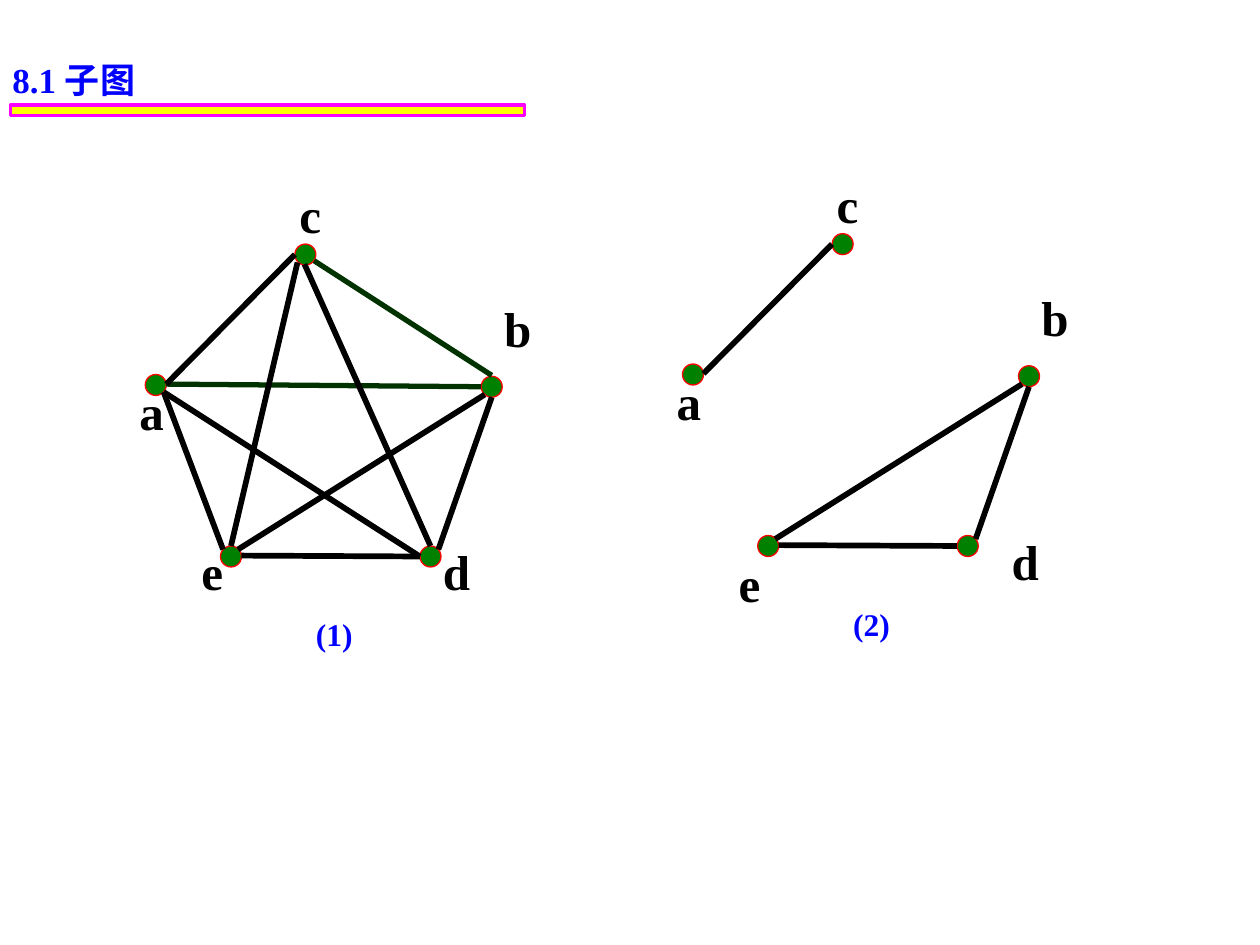
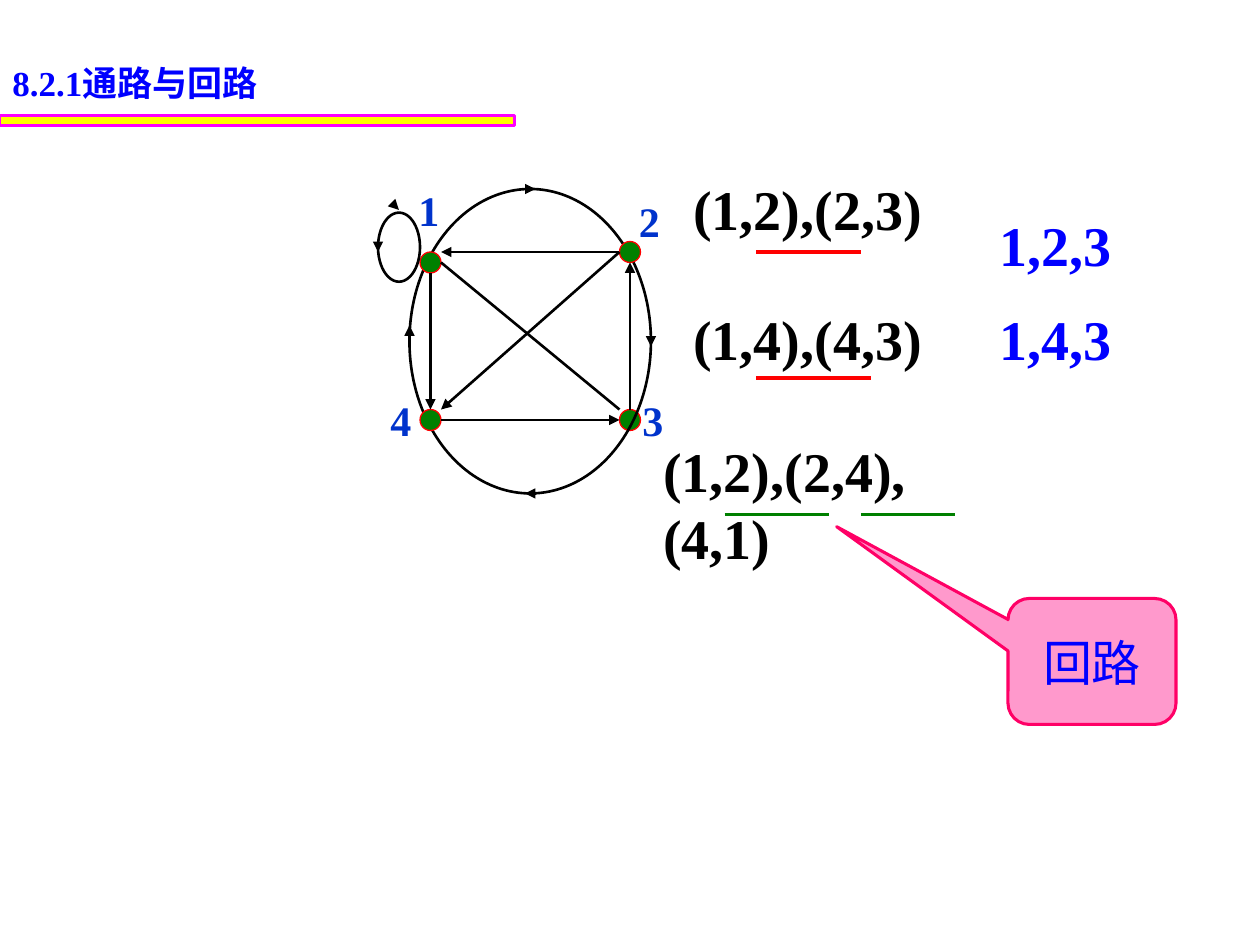
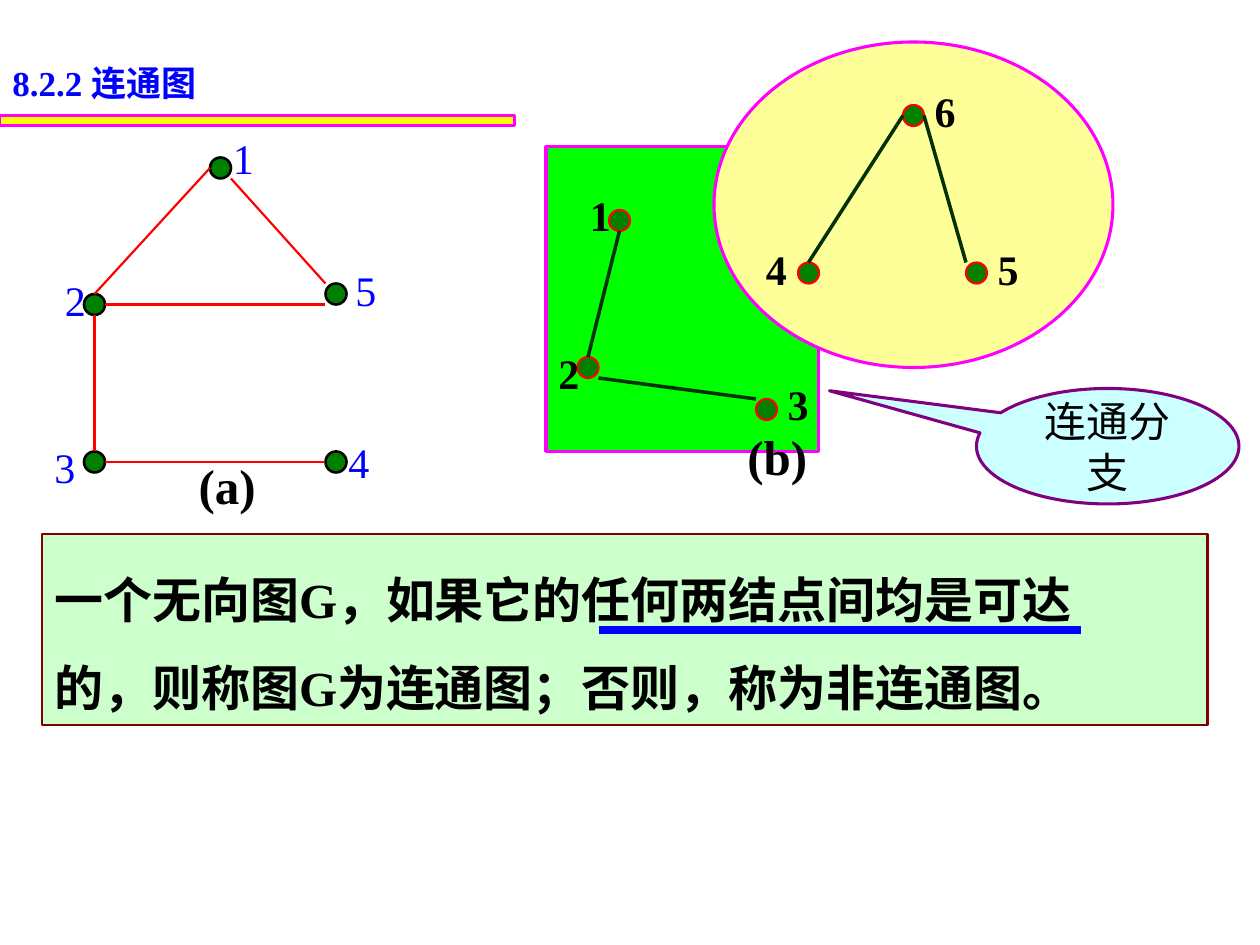
"""Build three slides on subgraphs, paths and connected graphs."""
from dataclasses import dataclass
from typing import NamedTuple

from lxml import etree
from pptx import Presentation
from pptx.dml.color import RGBColor
from pptx.enum.shapes import MSO_CONNECTOR, MSO_SHAPE
from pptx.enum.text import MSO_ANCHOR, MSO_AUTO_SIZE, PP_ALIGN
from pptx.oxml.ns import qn
from pptx.util import Pt

RECTANGLE = MSO_SHAPE.RECTANGLE
OVAL = MSO_SHAPE.OVAL
ROUND_CALLOUT = MSO_SHAPE.ROUNDED_RECTANGULAR_CALLOUT
OVAL_CALLOUT = MSO_SHAPE.OVAL_CALLOUT
STRAIGHT = MSO_CONNECTOR.STRAIGHT
GROW = MSO_AUTO_SIZE.SHAPE_TO_FIT_TEXT
TOP, MIDDLE = MSO_ANCHOR.TOP, MSO_ANCHOR.MIDDLE
LEFT, CENTER = PP_ALIGN.LEFT, PP_ALIGN.CENTER

SERIF, SANS, HAN = "Times New Roman", "Arial", "Noto Sans CJK SC"
DOT = 12
COLOURS = {
    "black": "000000", "blue": "0000FF", "royal": "0033CC", "red": "FF0000",
    "green": "008000", "forest": "003300", "lime": "00FF00",
    "yellow": "FFFF00", "cream": "FFFF99", "magenta": "FF00FF",
    "pink": "FF99CC", "rose": "FF0066", "mint": "CCFFCC",
    "maroon": "800000", "ice": "CCFFFF", "purple": "800080",
}


class Point(NamedTuple):
    x: float
    y: float


class Frame(NamedTuple):
    left: float
    top: float
    width: float
    height: float


class Span(NamedTuple):
    text: str
    font: str = SERIF


class Label(NamedTuple):
    text: str
    left: float
    top: float
    width: float = 26


class Edge(NamedTuple):
    start: Point
    end: Point
    colour: str = "black"
    width: float = 3.25
    arrow: bool = False


@dataclass(frozen=True)
class TextStyle:
    size: float
    colour: str = "black"
    bold: bool = True
    spacing: float = 1.0
    align: PP_ALIGN = LEFT


@dataclass(frozen=True)
class Look:
    fill: str | None
    line: str
    width: float


TITLE = TextStyle(20, "blue")
VERTEX = TextStyle(28)
CAPTION = TextStyle(18, "blue")
NUMBER = TextStyle(24)
PATH = TextStyle(32)
RED_DOT = Look("green", "red", 0.75)
OUTLINE = Look(None, "black", 1.5)

VERTICES = {"a": Point(83, 214), "b": Point(275, 215), "c": Point(168.5, 139.5),
            "d": Point(240, 312), "e": Point(126, 312)}
EDGES = {
    "ab": Edge(Point(95, 219.5), Point(275, 221), "forest", 3),
    "cb": Edge(Point(179.5, 149), Point(281, 214.5), "forest", 3),
    "ac": Edge(Point(95, 219.5), Point(168.5, 145.5)),
    "ae": Edge(Point(93.5, 224), Point(127.5, 314)),
    "ed": Edge(Point(138, 317.5), Point(240, 318)),
    "db": Edge(Point(250.5, 314), Point(281, 227)),
    "ce": Edge(Point(170, 150), Point(132, 312)),
    "cd": Edge(Point(174, 151), Point(246, 312)),
    "ad": Edge(Point(93.5, 224), Point(240, 318)),
    "eb": Edge(Point(136, 314), Point(277, 225.5)),
}
VERTEX_LABELS = (Label("a", 72.5, 214.5, 29), Label("b", 281, 167, 30),
                 Label("c", 164, 102, 27))


def colour_of(name: str) -> RGBColor:
    """Turn a palette name into a colour."""
    return RGBColor.from_string(COLOURS[name])


def write(box, paragraphs: list[tuple[Span, ...]], style: TextStyle) -> None:
    """Fill a box with styled paragraphs."""
    frame = box.text_frame
    for index, spans in enumerate(paragraphs):
        para = frame.paragraphs[0] if index == 0 else frame.add_paragraph()
        para.alignment = style.align
        para.line_spacing = style.spacing
        para.font.size = Pt(style.size)
        para.font.bold = style.bold
        para.font.color.rgb = colour_of(style.colour)
        fonts = {span.font for span in spans}
        if len(fonts) == 1:
            para.font.name = spans[0].font
        for text, font in spans:
            span = para.add_run()
            span.text = text
            if len(fonts) > 1:
                span.font.name = font
            if font != SERIF:
                properties = span._r.get_or_add_rPr()
                etree.SubElement(properties, qn("a:ea"), typeface=HAN)


def add_text(page, left: float, top: float, width: float,
             paragraphs: list[tuple[Span, ...]], style: TextStyle,
             wrap: bool = True) -> None:
    """Add a text box whose height follows its lines."""
    height = style.size * 1.2 * style.spacing * len(paragraphs) + 7.2
    box = page.shapes.add_textbox(Pt(left), Pt(top), Pt(width), Pt(height))
    box.text_frame.word_wrap = wrap
    box.text_frame.auto_size = GROW
    write(box, paragraphs, style)


def add_labels(page, labels: tuple[Label, ...], style: TextStyle,
               shift: Point = Point(0, 0)) -> None:
    """Add short labels that never wrap."""
    for label in labels:
        add_text(page, label.left + shift.x, label.top + shift.y, label.width,
                 [(Span(label.text),)], style, wrap=False)


def add_shape(page, kind: MSO_SHAPE, frame: Frame, look: Look):
    """Add a preset shape with its fill and outline."""
    shape = page.shapes.add_shape(kind, *map(Pt, frame))
    shape.shadow.inherit = False
    if look.fill:
        shape.fill.solid()
        shape.fill.fore_color.rgb = colour_of(look.fill)
    else:
        shape.fill.background()
    shape.line.color.rgb = colour_of(look.line)
    shape.line.width = Pt(look.width)
    return shape


def add_dots(page, corners: list[Point], look: Look,
             shift: Point = Point(0, 0)) -> None:
    """Add graph vertices by their top-left corners."""
    for corner in corners:
        frame = Frame(corner.x + shift.x, corner.y + shift.y, DOT, DOT)
        add_shape(page, OVAL, frame, look)


def add_edge(page, edge: Edge, shift: Point = Point(0, 0)) -> None:
    """Add a straight line, with an arrowhead if wanted."""
    line = page.shapes.add_connector(
        STRAIGHT, Pt(edge.start.x + shift.x), Pt(edge.start.y + shift.y),
        Pt(edge.end.x + shift.x), Pt(edge.end.y + shift.y))
    line.line.color.rgb = colour_of(edge.colour)
    line.line.width = Pt(edge.width)
    properties = line._element.spPr
    if edge.arrow:
        etree.SubElement(properties.find(qn("a:ln")), qn("a:tailEnd"), type="triangle")
    etree.SubElement(properties, qn("a:effectLst"))


def add_edges(page, ends: list[tuple[float, float, float, float]],
              colour: str, width: float, arrow: bool = False) -> None:
    """Add several lines of one style."""
    for x1, y1, x2, y2 in ends:
        add_edge(page, Edge(Point(x1, y1), Point(x2, y2), colour, width, arrow))


def add_callout(page, kind: MSO_SHAPE, frame: Frame, look: Look,
                adjustments: tuple[float, ...], text: str, style: TextStyle) -> None:
    """Add a callout with centred text."""
    callout = add_shape(page, kind, frame, look)
    for index, value in enumerate(adjustments):
        callout.adjustments[index] = value
    callout.text_frame.word_wrap = True
    callout.text_frame.vertical_anchor = MIDDLE
    write(callout, [(Span(text, SANS),)], style)


def add_heading(page, number: str, title: str, text_top: float = 31.5,
                bar: Point = Point(0, 66)) -> None:
    """Add the section title and its bar."""
    add_shape(page, RECTANGLE, Frame(bar.x, bar.y, 294, 6),
              Look("yellow", "magenta", 1.75))
    add_text(page, 0, text_top, 312, [(Span(number), Span(title, SANS))], TITLE)


def add_graph(page, edges: list[str], labels: tuple[Label, ...], caption: str,
              shift: Point = Point(0, 0)) -> None:
    """Draw the five vertices with chosen edges and labels."""
    add_dots(page, list(VERTICES.values()), RED_DOT, shift)
    for name in edges:
        add_edge(page, EDGES[name], shift)
    add_labels(page, VERTEX_LABELS + labels, VERTEX, shift)
    add_labels(page, (Label(caption, 173.5, 348, 35.5),), CAPTION, shift)


def build_subgraph(page) -> None:
    """Show the complete graph and one of its subgraphs."""
    add_heading(page, "8.1 ", "子图", 30, Point(6, 60))
    add_graph(page, list(EDGES),
              (Label("d", 246, 306, 30), Label("e", 108, 306, 27.5)), "(1)")
    add_graph(page, ["ac", "ed", "db", "eb"],
              (Label("d", 264, 306, 30), Label("e", 108, 318.5, 27.5)), "(2)",
              Point(307, -6))


def build_paths(page) -> None:
    """Show a directed graph with its paths and a circuit."""
    add_heading(page, "8.2.1", "通路与回路")
    add_dots(page, [Point(354, 234)], RED_DOT)
    add_shape(page, OVAL, Frame(234, 108, 138, 174), OUTLINE)
    add_labels(page, (Label("1", 232, 102), Label("2", 358, 108),
                      Label("3", 360, 222), Label("4", 216, 222)),
               TextStyle(24, "royal"))
    add_dots(page, [Point(354, 138), Point(240, 234), Point(240, 144)], RED_DOT)
    add_shape(page, OVAL, Frame(216, 121.5, 24, 39.5), OUTLINE)
    add_edges(page, [(252, 150, 354, 234)], "black", 1.5)
    add_edges(page, [
        (354, 144, 252, 234), (354, 144, 252, 144), (246, 156, 246, 234),
        (252, 240, 354, 240), (360, 234, 360, 150), (227.75, 119.75, 228, 120),
        (216, 138, 216, 144), (300, 108, 306, 108), (372, 192, 372, 198),
        (306, 282, 300, 282), (234, 198, 234, 186),
    ], "black", 1.5, arrow=True)
    for text, left, top, width in (("(1,2),(2,3)", 389, 96, 199.5),
                                   ("(1,4),(4,3)", 389, 170.5, 199.5),
                                   ("(1,2),(2,4),(4,1)", 372, 246, 208)):
        add_text(page, left, top, width, [(Span(text),)], PATH)
    add_text(page, 564, 101.5, 132, [(Span("1,2,3"),), (Span("1,4,3"),)],
             TextStyle(32, "blue", spacing=1.4))
    add_edges(page, [(432, 144, 492, 144), (432, 216, 498, 216)], "red", 2)
    add_edges(page, [(414, 294, 474, 294), (492, 294, 546, 294)], "green", 2.25)
    add_callout(page, ROUND_CALLOUT, Frame(576, 342, 96, 72),
                Look("pink", "rose", 1.75), (-1.52, -1.07, 0.17), "回路",
                TextStyle(28, "blue", False, align=CENTER))


def build_connected(page) -> None:
    """Show connected and disconnected graphs with the definition."""
    add_shape(page, RECTANGLE, Frame(312, 84, 156, 174), Look("lime", "magenta", 1.75))
    add_shape(page, OVAL, Frame(408, 24, 228, 186), Look("cream", "magenta", 1.75))
    add_heading(page, "8.2.2 ", "连通图")

    definition = add_shape(page, RECTANGLE, Frame(24, 305, 666, 109.5),
                           Look("mint", "maroon", 1.25))
    definition.text_frame.word_wrap = True
    definition.text_frame.vertical_anchor = TOP
    write(definition, [
        (Span("一个无向图", HAN), Span("G"), Span("，如果它的任何两结点间均是可达", HAN)),
        (Span("的，则称图", HAN), Span("G"), Span("为连通图；否则，称为非连通图。", HAN)),
    ], TextStyle(28, spacing=1.5))
    add_edges(page, [(342, 360, 618, 360)], "blue", 4.75)

    add_dots(page, [Point(120, 90), Point(48, 168), Point(186, 162),
                    Point(48, 258), Point(186, 258)], Look("green", "black", 1.5))
    add_labels(page, (Label("1", 126, 72), Label("2", 30, 153.5), Label("3", 24, 249),
                      Label("4", 192, 246), Label("5", 196, 147.5)),
               TextStyle(24, "blue", False))
    add_edges(page, [(120, 96, 54, 168), (60, 174, 186, 174), (54, 180, 54, 258),
                     (60, 264, 186, 264), (132, 102, 186, 162)], "red", 1.25)

    add_dots(page, [Point(348, 120), Point(330, 204), Point(432, 228),
                    Point(516, 60), Point(456, 150), Point(552, 150)],
             Look("green", "red", 1.25))
    add_edges(page, [(336, 204, 354, 132), (342, 216, 432, 228),
                     (462, 150, 516, 66), (528, 66, 552, 150)], "forest", 2)
    add_labels(page, (Label("1", 330, 105), Label("2", 312, 195), Label("3", 443, 213),
                      Label("4", 430.5, 135.5), Label("5", 563, 135.5),
                      Label("6", 527, 45.5)), NUMBER)
    add_labels(page, (Label("(a)", 106.5, 257, 47), Label("(b)", 420, 240, 49)), VERTEX)
    add_callout(page, OVAL_CALLOUT, Frame(558, 222, 150, 66),
                Look("ice", "purple", 1.75), (-1.06, -0.48), "连通分支",
                TextStyle(24, "black", False, align=CENTER))


def main() -> None:
    """Build the deck and save it."""
    deck = Presentation()
    deck.slide_width, deck.slide_height = Pt(720), Pt(540)
    for build in (build_subgraph, build_paths, build_connected):
        build(deck.slides.add_slide(deck.slide_layouts[6]))
    deck.save("out.pptx")


if __name__ == "__main__":
    main()
